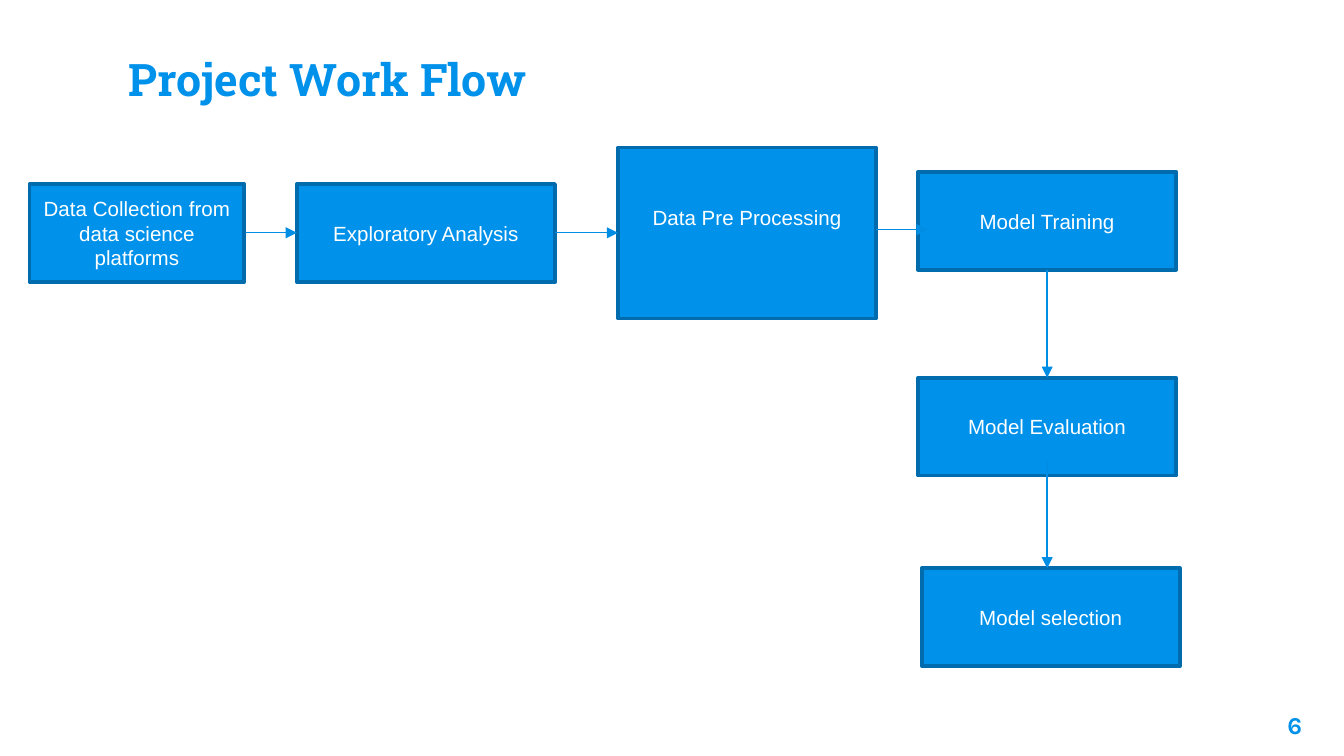
from lxml.etree import SubElement
from pptx import Presentation
from pptx.dml.color import RGBColor
from pptx.enum.shapes import MSO_CONNECTOR, MSO_SHAPE
from pptx.enum.text import MSO_ANCHOR, PP_ALIGN
from pptx.oxml.ns import qn
from pptx.util import Cm, Pt

COLORS = {"blue": "0091EA", "edge": "006BAD", "arrow": "008EE5", "white": "FFFFFF"}
WIDE, HIGH = 4.88, 1.85
STEPS = [
    ("Data Collection from data science platforms", 0.56, 3.48, 4.06, HIGH),
    ("Exploratory Analysis", 5.61, 3.48, WIDE, HIGH),
    ("Data Pre Processing", 11.68, 2.79, WIDE, 3.23),
    ("Model Training", 17.35, 3.25, WIDE, HIGH),
    ("Model Evaluation", 17.35, 7.14, WIDE, HIGH),
    ("Model selection", 17.42, 10.74, WIDE, HIGH),
]
ARROWS = [
    (4.65, 4.4, 5.61, 4.4),
    (10.49, 4.4, 11.68, 4.4),
    (16.56, 4.34, 17.53, 4.34),
    (19.79, 5.11, 19.79, 7.14),
    (19.79, 8.71, 19.79, 10.74),
]


def color(name):
    return RGBColor.from_string(COLORS[name])


def write(frame, text, size, font, tint, align, bold=False):
    frame.word_wrap = True
    frame.text = text
    line = frame.paragraphs[0]
    line.alignment = align
    face = line.runs[0].font
    face.size, face.name, face.bold = Pt(size), font, bold
    face.color.rgb = color(tint)


def add_label(slide, text, area, size, font, align, anchor):
    frame = slide.shapes.add_textbox(*map(Cm, area)).text_frame
    frame.margin_left = frame.margin_right = Cm(0.25)
    frame.margin_top = frame.margin_bottom = Cm(0.25)
    frame.vertical_anchor = anchor
    write(frame, text, size, font, "blue", align, True)


def add_step(slide, text, *area):
    box = slide.shapes.add_shape(MSO_SHAPE.RECTANGLE, *map(Cm, area))
    box.shadow.inherit = False
    box.fill.solid()
    box.fill.fore_color.rgb = color("blue")
    box.line.color.rgb = color("edge")
    box.line.width = Pt(2)
    box.text_frame.vertical_anchor = MSO_ANCHOR.MIDDLE
    write(box.text_frame, text, 11, "Arial", "white", PP_ALIGN.CENTER)
    return box


def add_arrow(slide, *ends):
    link = slide.shapes.add_connector(MSO_CONNECTOR.STRAIGHT, *map(Cm, ends))
    link.line.color.rgb = color("arrow")
    link.line.width = Pt(0.75)
    SubElement(link.line._get_or_add_ln(), qn("a:tailEnd"), type="triangle")
    SubElement(link._element.spPr, qn("a:effectLst"))


def main():
    deck = Presentation()
    deck.slide_width, deck.slide_height = Cm(25.4), Cm(14.29)
    slide = deck.slides.add_slide(deck.slide_layouts[6])
    add_label(slide, "Project Work Flow", (2.18, 0.28, 21.03, 1.96),
              24, "Roboto Slab", PP_ALIGN.LEFT, MSO_ANCHOR.BOTTOM)
    add_label(slide, "6", (23.34, 13.18, 1.52, 1.09),
              13, "Karla", PP_ALIGN.RIGHT, MSO_ANCHOR.TOP)
    boxes = [add_step(slide, *step) for step in STEPS]
    boxes[2].text_frame.margin_bottom = Cm(0.72)
    for ends in ARROWS:
        add_arrow(slide, *ends)
    deck.save("out.pptx")


if __name__ == "__main__":
    main()
